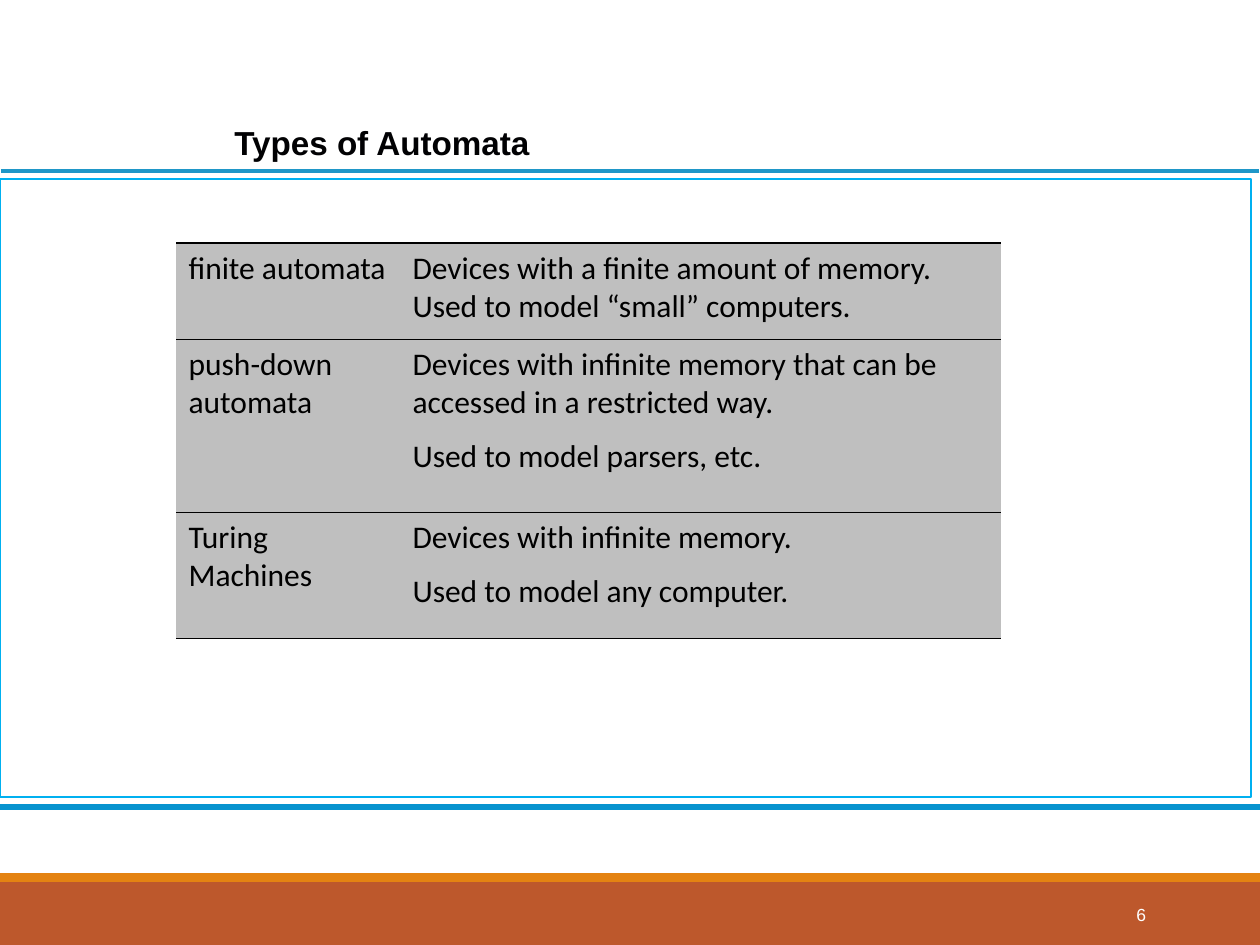
from lxml.etree import SubElement
from pptx import Presentation
from pptx.dml.color import RGBColor
from pptx.enum.shapes import MSO_CONNECTOR, MSO_SHAPE
from pptx.enum.text import MSO_ANCHOR as Anchor, PP_ALIGN as Align
from pptx.oxml import parse_xml
from pptx.oxml.ns import nsdecls, qn
from pptx.util import Emu, Pt

EMU_PER_PX = 914400 / 126
BLACK, WHITE, GREY = "000000", "FFFFFF", "BFBFBF"
COLUMNS = [224, 601]
ROWS = [96, 173, 126]
AUTOMATA = [
    (["finite automata"],
     ["Devices with a finite amount of memory.\vUsed to model “small” computers."]),
    (["push-down automata"],
     ["Devices with infinite memory that can be accessed in a restricted way.",
      "Used to model parsers, etc."]),
    (["Turing Machines"],
     ["Devices with infinite memory.", "Used to model any computer."]),
]


def px(length):
    """Turn pixels into EMU."""
    return Emu(round(length * EMU_PER_PX))


def color(value):
    """Turn a hex string into a colour."""
    return RGBColor.from_string(value)


def apply(target, values):
    """Set each attribute named in a dict."""
    for name, value in values.items():
        setattr(target, name, value)


def write(frame, lines, margins, size, face, ink, bold=False, align=Align.LEFT):
    """Fill a text frame with equally styled paragraphs."""
    sides = ("margin_left", "margin_top", "margin_right", "margin_bottom")
    apply(frame, {"word_wrap": True, **dict(zip(sides, map(px, margins)))})
    for index, line in enumerate(lines):
        paragraph = frame.add_paragraph() if index else frame.paragraphs[0]
        paragraph.text = line
        apply(paragraph, {"alignment": align, "space_before": Pt(9 if index else 0)})
        apply(paragraph.font, {"size": Pt(size), "name": face, "bold": bold})
        paragraph.font.color.rgb = color(ink)


def add_label(slide, box, text, margins, size, ink, bold, align, anchor):
    """Add a one-line Arial text box."""
    frame = slide.shapes.add_textbox(*map(px, box)).text_frame
    frame.vertical_anchor = anchor
    write(frame, [text], margins, size, "Arial", ink, bold, align)


def add_band(slide, box, fill, outline=None):
    """Add a filled rectangle with an optional outline."""
    band = slide.shapes.add_shape(MSO_SHAPE.RECTANGLE, *map(px, box))
    band.shadow.inherit = False
    band.fill.solid()
    band.fill.fore_color.rgb = color(fill)
    if outline:
        band.line.color.rgb = color(outline)
        band.line.width = Pt(1.25)
    else:
        band.line.fill.background()


def add_rule(slide, ends, ink, width):
    """Add a straight line without shadow."""
    rule = slide.shapes.add_connector(MSO_CONNECTOR.STRAIGHT, *map(px, ends))
    rule.line.color.rgb = color(ink)
    rule.line.width = Pt(width)
    SubElement(rule._element.spPr, qn("a:effectLst"))


def set_borders(cell, top, bottom):
    """Draw only the horizontal borders of a cell."""
    properties = cell._tc.get_or_add_tcPr()
    widths = {"lnL": 0, "lnR": 0, "lnT": top, "lnB": bottom}
    for index, (side, width) in enumerate(widths.items()):
        paint = (f'<a:solidFill><a:srgbClr val="{BLACK}"/></a:solidFill>'
                 if width else "<a:noFill/>")
        properties.insert(index, parse_xml(
            f'<a:{side} {nsdecls("a")} w="{Pt(width)}">{paint}</a:{side}>'))


def add_automata_table(slide, left, top):
    """Add the table of automata and what they model."""
    box = map(px, (left, top, sum(COLUMNS), sum(ROWS)))
    table = slide.shapes.add_table(len(ROWS), len(COLUMNS), *box).table
    apply(table, {"first_row": False, "horz_banding": False})
    for column, width in zip(table.columns, COLUMNS):
        column.width = px(width)
    for index, (row, height) in enumerate(zip(table.rows, ROWS)):
        row.height = px(height)
        for cell, lines in zip(row.cells, AUTOMATA[index]):
            write(cell.text_frame, lines, (9, 6, 9, 6), 18, "Calibri", BLACK)
            cell.fill.solid()
            cell.fill.fore_color.rgb = color(GREY)
            set_borders(cell, 0.45 if index else 1.08, 0.45)


def main():
    """Build the slide and save it."""
    deck = Presentation()
    apply(deck, {"slide_width": px(1260), "slide_height": px(945)})
    slide = deck.slides.add_slide(deck.slide_layouts[6])
    add_band(slide, (0, 882, 1260, 63), "BD582C")
    add_band(slide, (0, 873, 1260, 9), "E48312")
    add_rule(slide, (1, 171, 1259, 171), "1F97C8", 2.25)
    add_label(slide, (9, 122, 746, 40), "Types of Automata", (0, 0, 0, 0),
              19, "010103", True, Align.CENTER, Anchor.TOP)
    add_band(slide, (0, 804, 1260, 6), "0793CF")
    add_band(slide, (0, 179, 1251, 618), WHITE, "00B0F0")
    add_automata_table(slide, 176, 243)
    add_label(slide, (1023, 890, 136, 50), "6", (13, 6, 13, 6),
              10, WHITE, False, Align.RIGHT, Anchor.MIDDLE)
    deck.save("out.pptx")


if __name__ == "__main__":
    main()
